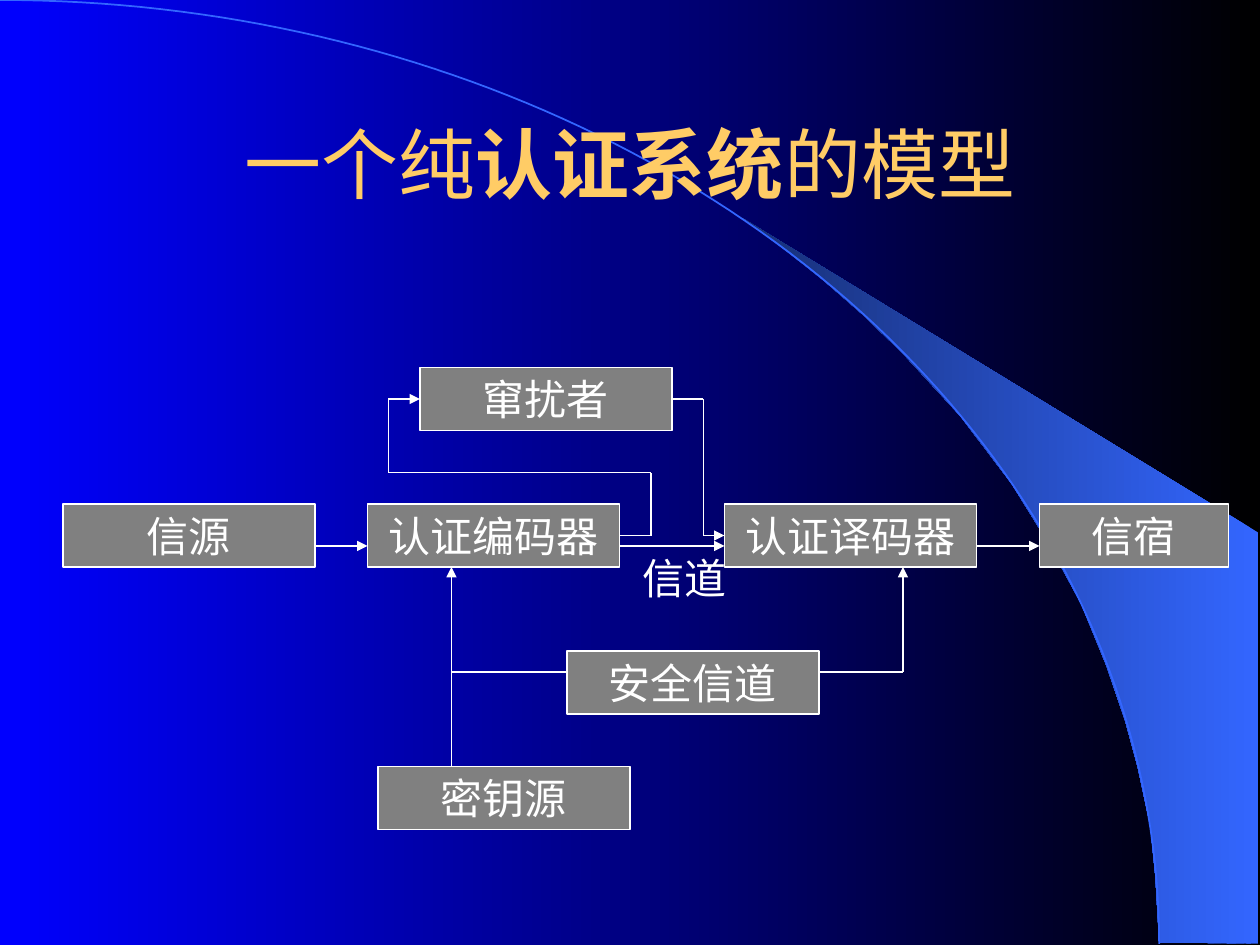
"""Build a slide that shows the model of a pure authentication system."""
import math

from lxml import etree
from pptx import Presentation
from pptx import util as u
from pptx.dml.color import RGBColor
from pptx.enum import shapes, text
from pptx.oxml import ns

WHITE = RGBColor(0xFF, 0xFF, 0xFF)
GRAY = RGBColor(0x80, 0x80, 0x80)
GOLD = RGBColor(0xFF, 0xCC, 0x66)
BLACK = RGBColor(0, 0, 0)
BLUE = RGBColor(0, 0, 0xFF)
SKY = RGBColor(0x33, 0x66, 0xFF)
NAVY = RGBColor(0x17, 0x2F, 0x75)
TOP, LEFT, BOTTOM, RIGHT = range(4)

WEDGE = [(9.2, 7.48), (9.99, 7.49), (9.99, 4.23), (5.89, 1.73), (6.24, 1.99),
         (6.53, 2.22), (6.85, 2.5), (7.16, 2.8), (7.62, 3.3), (8.03, 3.84),
         (8.32, 4.31), (8.58, 4.79), (8.78, 5.28), (8.93, 5.72), (9.03, 6.09),
         (9.13, 6.56), (9.17, 6.96)]


class Sketch:
    def __init__(self, slide, face="Times New Roman", size=24):
        self.slide, self.face, self.size = slide, face, size

    def blend(self, fill, first, last):
        fill.gradient()
        fill.gradient_angle = 180
        for stop, color, place in zip(fill.gradient_stops, (first, last), (0, 1)):
            stop.color.rgb, stop.position = color, place

    def style(self, run, color=WHITE, face=None, size=None, bold=False):
        font = run.font
        font.name, font.size = face or self.face, u.Pt(size or self.size)
        font.color.rgb, font.bold = color, bold

    def outline(self, points, close):
        spots = [(u.Pt(x), u.Pt(y)) for x, y in points]
        form = self.slide.shapes.build_freeform(*spots[0], scale=1.0)
        form.add_line_segments(spots[1:], close=close)
        shape = form.convert_to_shape()
        shape.shadow.inherit = False
        return shape

    def wedge(self, points, first, last):
        shape = self.outline(points, True)
        self.blend(shape.fill, first, last)
        shape.line.fill.background()

    def arc(self, wide, high, color, steps=90):
        turns = [math.pi / 2 * i / steps for i in range(steps + 1)]
        points = [(wide * math.sin(t), high * (1 - math.cos(t))) for t in turns]
        shape = self.outline(points, False)
        shape.fill.background()
        shape.line.color.rgb, shape.line.width = color, u.Pt(1)

    def block(self, words, x, y, wide=144, high=36):
        shape = self.slide.shapes.add_shape(
            shapes.MSO_SHAPE.RECTANGLE, u.Pt(x), u.Pt(y), u.Pt(wide), u.Pt(high))
        shape.shadow.inherit = False
        shape.fill.solid()
        shape.fill.fore_color.rgb = GRAY
        shape.line.color.rgb, shape.line.width = WHITE, u.Pt(0.75)
        frame = shape.text_frame
        frame.text = words
        frame.word_wrap = False
        frame.vertical_anchor = text.MSO_ANCHOR.MIDDLE
        line = frame.paragraphs[0]
        line.alignment = text.PP_ALIGN.CENTER
        self.style(line.runs[0])
        return shape

    def label(self, words, x, y, wide, high):
        box = self.slide.shapes.add_textbox(u.Pt(x), u.Pt(y), u.Pt(wide), u.Pt(high))
        box.text_frame.word_wrap = True
        box.text_frame.text = words
        self.style(box.text_frame.paragraphs[0].runs[0])

    def title(self, parts, x, y, wide, high):
        box = self.slide.shapes.add_textbox(u.Pt(x), u.Pt(y), u.Pt(wide), u.Pt(high))
        frame = box.text_frame
        frame.word_wrap = True
        frame.vertical_anchor = text.MSO_ANCHOR.MIDDLE
        line = frame.paragraphs[0]
        line.alignment = text.PP_ALIGN.CENTER
        for words, bold in parts:
            run = line.add_run()
            run.text = words
            self.style(run, GOLD, "Arial", 44, bold)

    def route(self, points, head=True, start=None, end=None):
        links = []
        for here, there in zip(points, points[1:]):
            link = self.slide.shapes.add_connector(
                shapes.MSO_CONNECTOR.STRAIGHT, *map(u.Pt, here + there))
            link.line.color.rgb, link.line.width = WHITE, u.Pt(0.75)
            etree.SubElement(link._element.spPr, ns.qn("a:effectLst"))
            links.append(link)
        if head:
            tip = etree.SubElement(links[-1].line._get_or_add_ln(), ns.qn("a:tailEnd"))
            tip.set("type", "triangle")
        if start:
            links[0].begin_connect(*start)
        if end:
            links[-1].end_connect(*end)


def main():
    deck = Presentation()
    deck.slide_width, deck.slide_height = u.Pt(720), u.Pt(540)
    slide = deck.slides.add_slide(deck.slide_layouts[6])
    art = Sketch(slide)
    art.blend(slide.background.fill, BLACK, BLUE)
    art.wedge([(x * 72, y * 72) for x, y in WEDGE], SKY, NAVY)
    art.arc(662.4, 539.3, SKY)

    rogue = art.block("窜扰者", 240, 210)
    art.block("信宿", 594, 288, 108)
    art.block("信源", 36, 288)
    coder = art.block("认证编码器", 210, 288)
    reader = art.block("认证译码器", 414, 288)
    art.block("安全信道", 324, 372)
    art.block("密钥源", 216, 438)
    art.label("信道", 360, 312, 90, 36)

    for left, right in ((354, 414), (180, 210), (558, 594)):
        art.route([(left, 312), (right, 312)])
    art.route([(354, 306), (372, 306), (372, 270), (222, 270), (222, 228), (240, 228)],
              start=(coder, RIGHT), end=(rogue, LEFT))
    art.route([(384, 228), (402, 228), (402, 306), (414, 306)],
              start=(rogue, RIGHT), end=(reader, LEFT))
    art.route([(258, 438), (258, 324)])
    art.route([(258, 384), (324, 384)], head=False)
    art.route([(468, 384), (516, 384), (516, 324)])

    art.title([("一个纯", False), ("认证系统", True), ("的模型", False)], 54, 48, 612, 90)
    deck.save("out.pptx")


if __name__ == "__main__":
    main()
